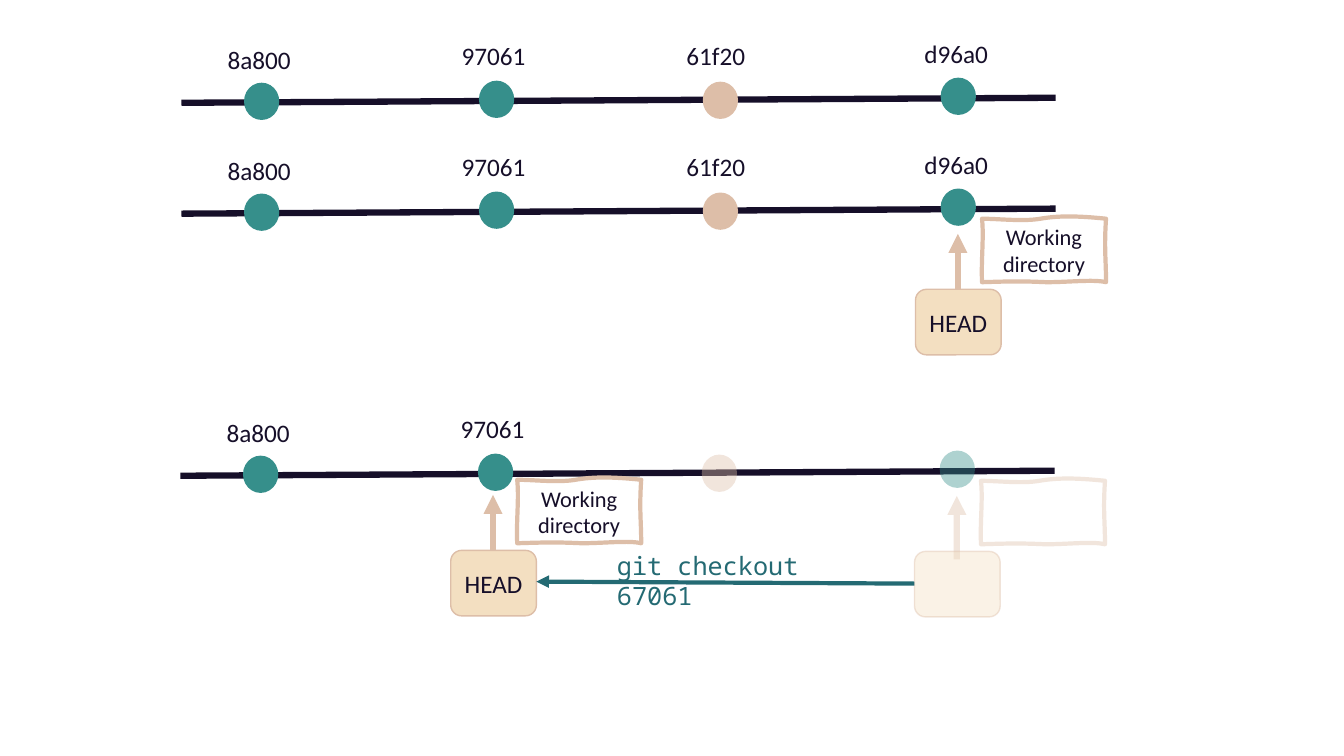
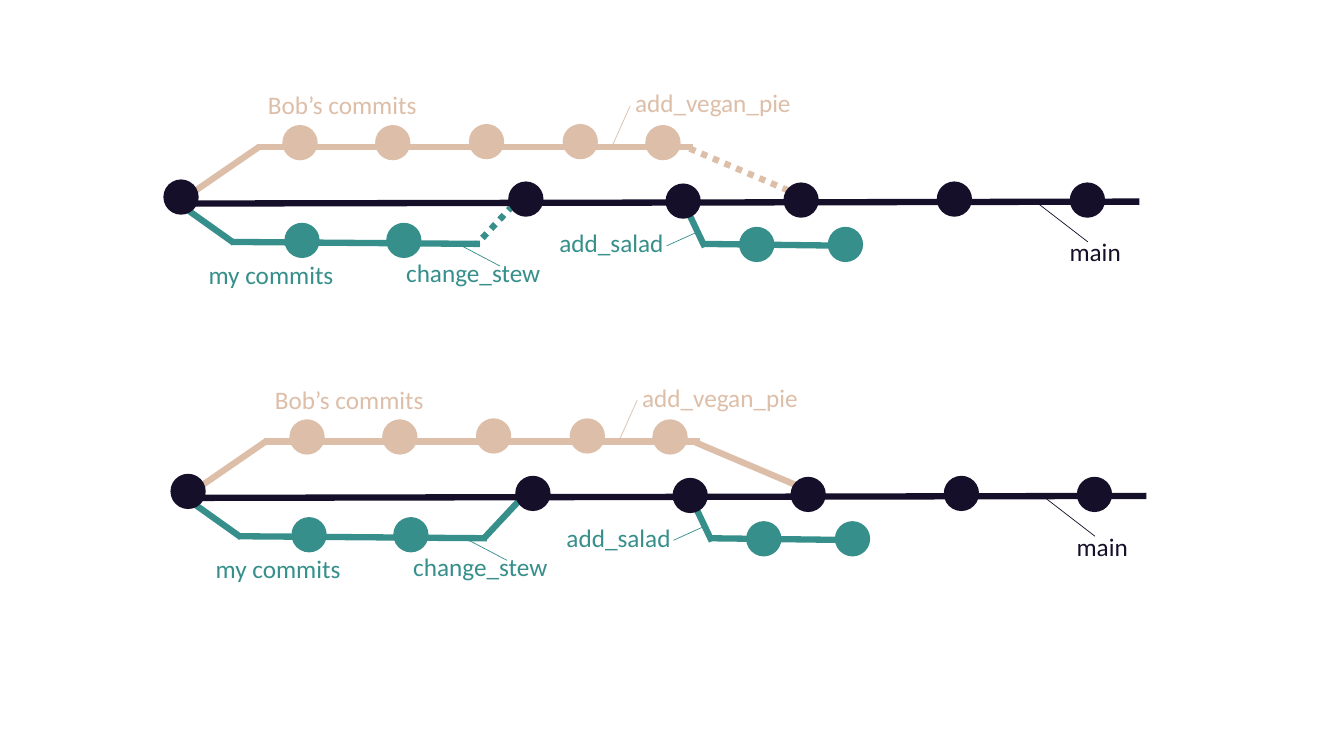
"""Draw two slides that explain git checkout and branching with commit timelines."""
from dataclasses import dataclass
from typing import NamedTuple, Optional

import pptx
import pptx.dml.color
import pptx.enum.dml
import pptx.enum.shapes
import pptx.enum.text
import pptx.oxml
import pptx.oxml.ns
import pptx.shapes.autoshape
import pptx.shapes.shapetree
import pptx.util
from lxml import etree

Inches = pptx.util.Inches
Pt = pptx.util.Pt
RGB = pptx.dml.color.RGBColor
Align = pptx.enum.text.PP_ALIGN
Anchor = pptx.enum.text.MSO_ANCHOR
Shape = pptx.enum.shapes.MSO_SHAPE
Shapes = pptx.shapes.shapetree.GroupShapes
Sp = pptx.shapes.autoshape.Shape
qn = pptx.oxml.ns.qn


@dataclass(frozen=True)
class Theme:
    ink: str = "160F29"
    teal: str = "368F8B"
    deep: str = "246A73"
    rose: str = "DDBEA8"
    sand: str = "F3DFC1"
    font: str = "Calibri"
    mono: str = "Noto Sans Mono"
    body: int = 18
    small: int = 16
    thick: float = 4.5
    medium: float = 3
    border: float = 1
    thin: float = 0.5
    faded: int = 40


T = Theme()


class Line(NamedTuple):
    x1: float
    y1: float
    x2: float
    y2: float
    color: str
    width: float = T.thick
    merge: bool = False


class Label(NamedTuple):
    text: str
    x: float
    y: float
    w: float
    color: str = T.ink
    font: str = T.font
    align: Align = Align.LEFT


class Dots(NamedTuple):
    color: str
    spots: tuple[tuple[float, float], ...]


class Commit(NamedTuple):
    name: str
    x: float
    y: float
    label_x: float
    label_y: float
    label_w: float
    color: str = T.teal


COMMITS = (
    Commit("8a800", 2.41, 0.83, 2.16, 0.39, 1.34),
    Commit("97061", 4.74, 0.81, 4.48, 0.35, 1.5),
    Commit("61f20", 6.96, 0.82, 6.71, 0.35, 1.07, T.rose),
    Commit("d96a0", 9.32, 0.78, 9.07, 0.33, 1.29),
)

WAVE = (
    ((0.16, 0), (0.41, 0.03), (0.58, 0)),
    ((0.75, -0.03), (0.94, -0.03), (1.23, 0)),
    ((1.21, 0.3), (1.23, 0.4), (1.23, 0.63)),
    ((1.11, 0.6), (0.86, 0.63), (0.64, 0.63)),
    ((0.41, 0.62), (0.31, 0.62), (0, 0.63)),
    ((-0.01, 0.4), (0.02, 0.19), (0, 0)),
)

LINES = (
    Line(6.8, 2.05, 6.99, 2.45, T.teal),
    Line(1.8, 2.04, 2.32, 2.41, T.teal),
    Line(5.17, 1.95, 4.73, 2.42, T.teal, merge=True),
    Line(11.3, 2, 1.66, 2.02, T.ink),
    Line(7.82, 1.89, 6.83, 1.47, T.rose, merge=True),
    Line(4.76, 2.42, 2.29, 2.4, T.teal),
    Line(6.87, 1.46, 2.55, 1.46, T.rose),
    Line(8.55, 2.44, 6.97, 2.42, T.teal),
    Line(1.81, 1.98, 2.58, 1.45, T.rose),
    Line(10.79, 2.4, 10.31, 2.03, T.ink, T.thin),
    Line(6.92, 2.3, 6.61, 2.44, T.teal, T.thin),
    Line(4.96, 2.64, 4.58, 2.44, T.teal, T.thin),
    Line(6.25, 1.05, 6.08, 1.43, T.rose, T.thin),
)

BRANCH_DOTS = (
    Dots(T.teal, ((2.82, 2.21), (3.83, 2.21), (7.33, 2.25), (8.21, 2.25))),
    Dots(T.rose, ((2.8, 1.24), (3.72, 1.24), (4.65, 1.23), (5.58, 1.23), (6.4, 1.24))),
    Dots(T.ink, ((1.62, 1.78), (5.04, 1.8), (6.6, 1.82), (7.77, 1.81), (9.29, 1.8), (10.61, 1.81))),
)

BRANCH_LABELS = (
    Label("my commits", 1.97, 2.52, 2.98, T.teal),
    Label("Bob’s commits", 1.56, 0.84, 2.67, T.rose, align=Align.RIGHT),
    Label("main", 10.51, 2.3, 1),
    Label("add_salad", 5.45, 2.21, 1.39, T.teal),
    Label("change_stew", 3.93, 2.5, 2.33, T.teal),
    Label("add_vegan_pie", 6.2, 0.82, 2.47, T.rose),
)


def fade(element: etree.ElementBase) -> None:
    """Make every colour under the element partly transparent."""
    for clr in element.iter(qn("a:srgbClr")):
        etree.SubElement(clr, qn("a:alpha"), val=str(T.faded * 1000))


def add_run(sp: Sp, text: str, color: str, size: float, font: str, align: Align) -> None:
    """Write one wrapped, styled run into a shape."""
    tf = sp.text_frame
    tf.word_wrap = True
    p = tf.paragraphs[0]
    p.alignment = align
    r = p.add_run()
    r.text = text
    r.font.size, r.font.name = Pt(size), font
    r.font.color.rgb = RGB.from_string(color)


def add_label(shapes: Shapes, label: Label, dx: float = 0, dy: float = 0) -> None:
    """Add a text box that grows with its text."""
    sp = shapes.add_textbox(Inches(label.x + dx), Inches(label.y + dy), Inches(label.w), Inches(0.4))
    add_run(sp, label.text, label.color, T.body, label.font, label.align)
    sp.text_frame.auto_size = pptx.enum.text.MSO_AUTO_SIZE.SHAPE_TO_FIT_TEXT


def style(sp: Sp, fill: Optional[str], line: Optional[str], width: float = 0, faded: bool = False) -> None:
    """Set the fill and outline of a shape and remove its shadow."""
    sp.shadow.inherit = False
    if fill:
        sp.fill.solid()
        sp.fill.fore_color.rgb = RGB.from_string(fill)
    else:
        sp.fill.background()
    if line:
        sp.line.color.rgb = RGB.from_string(line)
        sp.line.width = Pt(width)
    else:
        sp.line.fill.background()
    if faded:
        fade(sp.element.spPr)


def add_dot(shapes: Shapes, x: float, y: float, color: str, w: float = 0.35,
            turn: float = 90, faded: bool = False) -> None:
    """Add one commit dot."""
    sp = shapes.add_shape(Shape.OVAL, Inches(x), Inches(y), Inches(w), Inches(0.35))
    sp.rotation = turn
    style(sp, color, None, faded=faded)


def add_line(shapes: Shapes, line: Line, dx: float = 0, dy: float = 0, dotted: bool = False,
             arrow: bool = False, faded: bool = False) -> None:
    """Add a straight connector, optionally dotted or with an arrowhead."""
    cx = shapes.add_connector(
        pptx.enum.shapes.MSO_CONNECTOR.STRAIGHT,
        Inches(line.x1 + dx), Inches(line.y1 + dy), Inches(line.x2 + dx), Inches(line.y2 + dy))
    cx.line.color.rgb = RGB.from_string(line.color)
    cx.line.width = Pt(line.width)
    if dotted:
        cx.line.dash_style = pptx.enum.dml.MSO_LINE.ROUND_DOT
    sp_pr = cx.element.spPr
    if arrow:
        etree.SubElement(sp_pr.find(qn("a:ln")), qn("a:tailEnd"), type="triangle")
    etree.SubElement(sp_pr, qn("a:effectLst"))
    if faded:
        fade(sp_pr)


def add_wave(shapes: Shapes, x: float, y: float) -> Sp:
    """Add a frame with wavy edges made of Bézier curves."""
    ends = [(Inches(x + ex), Inches(y + ey)) for *_, (ex, ey) in WAVE]
    fb = shapes.build_freeform(*ends[-1])
    fb.add_line_segments(ends, close=True)
    sp = fb.convert_to_shape()
    for side, curve in zip(list(sp.element.iter(qn("a:lnTo"))), WAVE):
        bezier = etree.Element(qn("a:cubicBezTo"))
        for px, py in curve:
            etree.SubElement(bezier, qn("a:pt"), x=str(Inches(px)), y=str(Inches(py)))
        side.getparent().replace(side, bezier)
    return sp


def add_head(shapes: Shapes, x: float, y: float, faded: bool = False) -> None:
    """Add HEAD, its arrow and the working directory below the commit at x."""
    frame = add_wave(shapes, x + 0.24, y + 1.07)
    style(frame, None, T.rose, T.medium, faded)
    add_line(shapes, Line(x, y + 1.85, x, y + 1.22, T.rose), arrow=True, faded=faded)
    box = shapes.add_shape(Shape.ROUNDED_RECTANGLE, Inches(x - 0.42), Inches(y + 1.77),
                           Inches(0.85), Inches(0.65))
    style(box, T.sand, T.rose, T.border, faded)
    if faded:
        return
    for sp, text, size in ((frame, "Working directory", T.small), (box, "HEAD", T.body)):
        add_run(sp, text, T.ink, size, T.font, Align.CENTER)
        sp.text_frame.vertical_anchor = Anchor.MIDDLE


def add_timeline(shapes: Shapes, dx: float, dy: float, visible: int = len(COMMITS)) -> None:
    """Add a row of commits, fading and unlabelling those after the visible ones."""
    add_line(shapes, Line(1.8, 1.02, 10.47, 0.97, T.ink), dx, dy)
    for i, c in enumerate(COMMITS):
        add_dot(shapes, c.x + dx, c.y + dy, c.color, 0.37, 270, faded=i >= visible)
        if i < visible:
            add_label(shapes, Label(c.name, c.label_x, c.label_y, c.label_w), dx, dy)


def add_branches(shapes: Shapes, dx: float, dy: float, dotted_merges: bool) -> None:
    """Add the branch diagram at an offset."""
    for line in LINES:
        add_line(shapes, line, dx, dy, dotted=line.merge and dotted_merges)
    for dots in BRANCH_DOTS:
        for x, y in dots.spots:
            add_dot(shapes, x + dx, y + dy, dots.color)
    for label in BRANCH_LABELS:
        add_label(shapes, label, dx, dy)


def build_checkout(slide: pptx.slide.Slide) -> None:
    """Show the history, HEAD on it, and HEAD after a checkout."""
    history, current, moved = (slide.shapes.add_group_shape().shapes for _ in range(3))
    add_timeline(history, 0, 0)
    add_timeline(current, 0, 1.1)
    add_head(current, 9.5, 1.1)
    add_timeline(moved, -0.01, 3.7, visible=2)
    add_head(moved, 9.49, 3.7, faded=True)
    add_head(moved, 4.89, 3.69)
    add_line(moved, Line(9.07, 5.79, 5.32, 5.77, T.deep, T.medium), arrow=True)
    add_label(moved, Label("git checkout 67061", 6.02, 5.41, 2.82, T.deep, T.mono))


def build_branching(slide: pptx.slide.Slide) -> None:
    """Show the branches before and after their merges."""
    for dx, dy, dotted in ((0, 0, True), (0.07, 2.92, False)):
        add_branches(slide.shapes.add_group_shape().shapes, dx, dy, dotted)


def main() -> None:
    """Build and save the presentation."""
    prs = pptx.Presentation()
    prs.slide_width, prs.slide_height = Inches(13.33), Inches(7.5)
    for build in (build_checkout, build_branching):
        build(prs.slides.add_slide(prs.slide_layouts[6]))
    prs.save("out.pptx")


if __name__ == "__main__":
    main()
